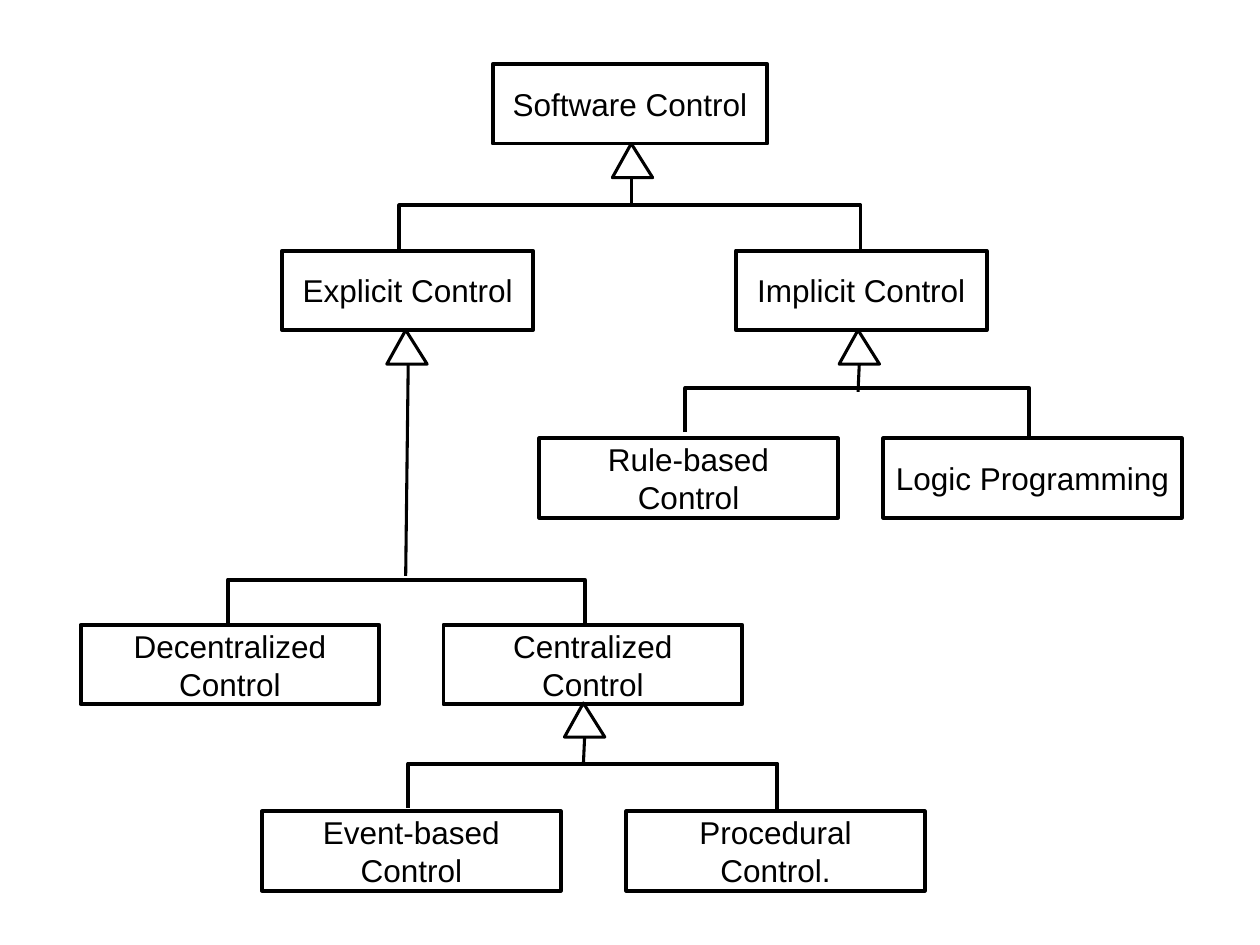
from lxml import etree
from pptx import Presentation
from pptx import util as u
from pptx.dml.color import RGBColor
from pptx.enum import shapes, text
from pptx.oxml.ns import qn

PX = 9144  # EMU per px, 100 px to the inch
COLORS = {"ink": "000000", "paper": "FFFFFF"}

presentation = Presentation()
presentation.slide_width, presentation.slide_height = 1000 * PX, 750 * PX
slide = presentation.slides.add_slide(presentation.slide_layouts[6])


def write(shape, label, *, size=18, font="Arial", color="ink", align=text.PP_ALIGN.CENTER):
    frame = shape.text_frame
    frame.word_wrap = False
    frame.vertical_anchor = text.MSO_ANCHOR.MIDDLE
    paragraph = frame.paragraphs[0]
    paragraph.text = label.replace("\n", "\v")  # a line break within one paragraph
    paragraph.alignment = align
    paragraph.font.size = u.Pt(size)
    paragraph.font.name = font
    paragraph.font.color.rgb = RGBColor.from_string(COLORS[color])


def outline(shape, width, fill=None):
    """Set a plain line and an optional fill, without a shadow."""
    shape.line.color.rgb = RGBColor.from_string(COLORS["ink"])
    shape.line.width = u.Pt(width)
    if fill:
        shape.fill.solid()
        shape.fill.fore_color.rgb = RGBColor.from_string(COLORS[fill])
    elif hasattr(shape, "fill"):
        shape.fill.background()
    if hasattr(shape, "shadow"):
        shape.shadow.inherit = False
    else:
        etree.SubElement(shape.line._get_or_add_ln().getparent(), qn("a:effectLst"))


# Class boxes: label, left, top, width
boxes = [
    ("Software Control", 391, 51, 218),
    ("Explicit Control", 224, 199, 199),
    ("Implicit Control", 584, 199, 199),
    ("Rule-based\nControl", 428, 348, 237),
    ("Logic Programming", 701, 348, 237),
    ("Decentralized\nControl", 64, 496, 237),
    ("Centralized\nControl", 352, 496, 237),
    ("Event-based\nControl", 208, 644, 237),
    ("Procedural\nControl.", 497, 644, 237),
]
for label, left, top, width in boxes:
    box = slide.shapes.add_shape(
        shapes.MSO_SHAPE.RECTANGLE, left * PX, top * PX, width * PX, 63 * PX)
    outline(box, 2.25, fill="paper")
    write(box, label)

# Inheritance links: arrow tip, stem top x, stem foot y, branch left, right and top
links = [
    (501, 114, 501, 163, 317, 683, 163),
    (681, 262, 682, 311, 544, 817, 308),
    (463, 558, 464, 607, 324, 617, 606),
    (322, 262, 324, 457, 181, 464, 460),
]
for tip_x, tip_y, stem_x, foot_y, left, right, top in links:
    base_y = tip_y + 27

    builder = slide.shapes.build_freeform(tip_x - 15, base_y, scale=PX)
    builder.add_line_segments([(tip_x, tip_y), (tip_x + 17, base_y)], close=True)
    outline(builder.convert_to_shape(), 1.75)

    stem = slide.shapes.add_connector(
        shapes.MSO_CONNECTOR.STRAIGHT, tip_x * PX, foot_y * PX, stem_x * PX, base_y * PX)
    outline(stem, 1.75)

    builder = slide.shapes.build_freeform(left, top + 35, scale=PX)
    builder.add_line_segments([(left, top), (right, top), (right, top + 38)], close=False)
    outline(builder.convert_to_shape(), 2.25)

presentation.save("out.pptx")
